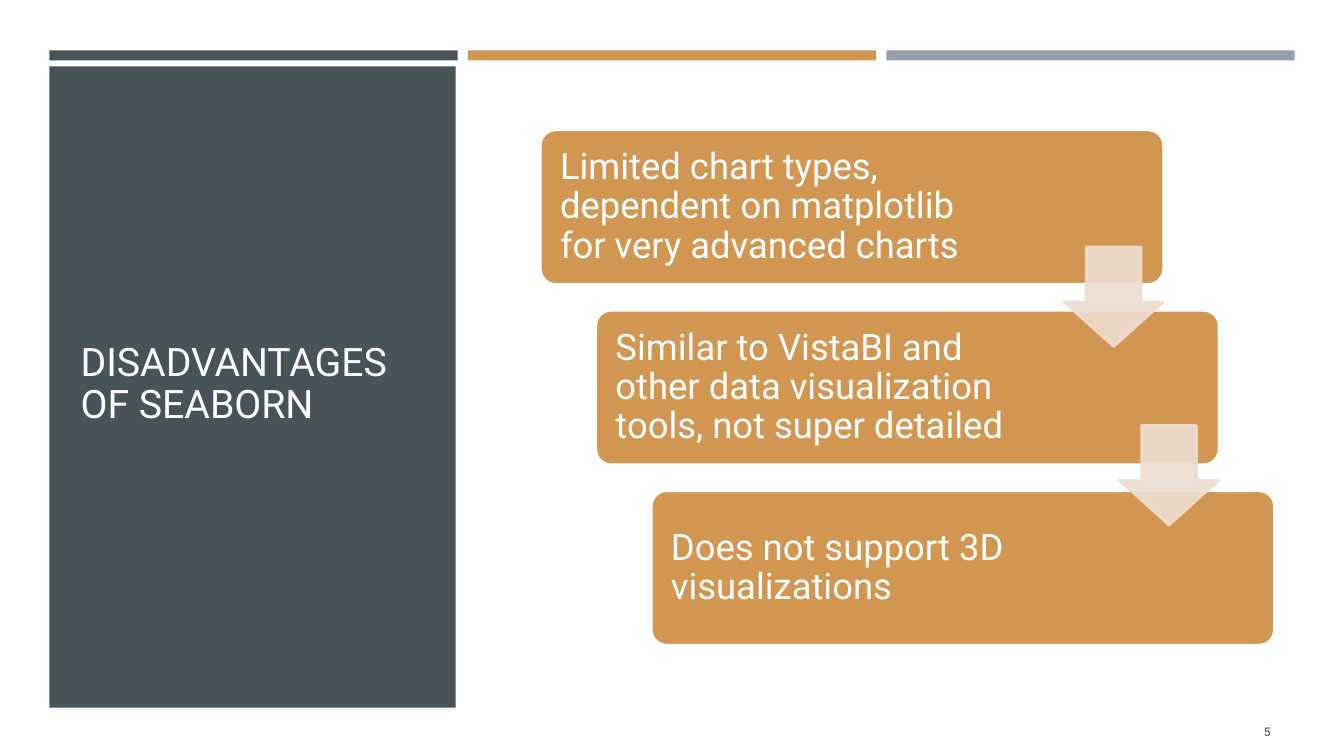
"""Build the slide on the disadvantages of Seaborn, with three cascading cards."""
from dataclasses import dataclass

from lxml.etree import SubElement
from pptx import Presentation
from pptx.dml.color import RGBColor
from pptx.enum.shapes import MSO_SHAPE
from pptx.enum.text import MSO_ANCHOR, MSO_AUTO_SIZE, PP_ALIGN
from pptx.oxml.ns import qn
from pptx.util import Pt

PX = 9144


@dataclass(frozen=True)
class Theme:
    font: str = "Roboto"
    slate: str = "465359"
    amber: str = "D19651"
    grey: str = "969FA7"
    blush: str = "EEDDD0"
    white: str = "FFFFFF"
    ink: str = "404040"
    title_size: float = 28
    card_size: float = 26
    number_size: float = 8.5
    outline: float = 1.75


THEME = Theme()


def write(shape, text, *, size, color, align=PP_ALIGN.LEFT, anchor=MSO_ANCHOR.MIDDLE,
          spacing=0.9, margins=(10, 5, 10, 5)):
    frame = shape.text_frame
    frame.text = text
    frame.word_wrap = True
    frame.auto_size = MSO_AUTO_SIZE.NONE
    frame.vertical_anchor = anchor
    left, top, right, bottom = (margin * PX for margin in margins)
    frame.margin_left, frame.margin_top = left, top
    frame.margin_right, frame.margin_bottom = right, bottom
    paragraph = frame.paragraphs[0]
    paragraph.alignment = align
    paragraph.line_spacing = spacing
    font = paragraph.runs[0].font
    font.name = THEME.font
    font.size = Pt(size)
    font.color.rgb = RGBColor.from_string(color)


def draw(kind, left, top, width, height, fill, line=None, adjustments=()):
    shape = slide.shapes.add_shape(kind, left * PX, top * PX, width * PX, height * PX)
    shape.shadow.inherit = False
    shape.fill.solid()
    shape.fill.fore_color.rgb = RGBColor.from_string(fill)
    if line:
        shape.line.color.rgb = RGBColor.from_string(line)
        shape.line.width = Pt(THEME.outline)
    else:
        shape.line.fill.background()
    for index, value in enumerate(adjustments):
        shape.adjustments[index] = value
    return shape


deck = Presentation()
deck.slide_width = 1333 * PX
deck.slide_height = 750 * PX
slide = deck.slides.add_slide(deck.slide_layouts[5])

for column, color in enumerate((THEME.slate, THEME.amber, THEME.grey)):
    draw(MSO_SHAPE.RECTANGLE, 49 + 415 * column, 50, 405, 10, color)
panel = draw(MSO_SHAPE.RECTANGLE, 49, 66, 403, 636, THEME.slate)

heading = slide.shapes.title
heading.left, heading.top = 70 * PX, 102 * PX
heading.width, heading.height = 361 * PX, 327 * PX
panel.element.getparent().append(heading.element)
write(heading, "DISADVANTAGES OF SEABORN", size=THEME.title_size,
      color=THEME.white, anchor=MSO_ANCHOR.BOTTOM)

drawbacks = (
    "Limited chart types, dependent on matplotlib for very advanced charts",
    "Similar to VistaBI and other data visualization tools, not super detailed",
    "Does not support 3D visualizations",
)
for step, drawback in enumerate(drawbacks):
    card = draw(MSO_SHAPE.ROUNDED_RECTANGLE, 536 + 55 * step, 129 + 179 * step, 618, 153,
                THEME.amber, line=THEME.white, adjustments=(0.1,))
    write(card, drawback, size=THEME.card_size, color=THEME.white,
          margins=(15, 11, 171, 11))

for step in range(len(drawbacks) - 1):
    arrow = draw(MSO_SHAPE.DOWN_ARROW, 1055 + 55 * step, 245 + 177 * step, 99, 99,
                 THEME.blush, line=THEME.blush, adjustments=(0.55, 0.45))
    for tint in arrow.element.spPr.iter(qn("a:srgbClr")):
        SubElement(tint, qn("a:alpha"), val="90000")

page_number = slide.shapes.add_textbox(1155 * PX, 706 * PX, 115 * PX, 40 * PX)
write(page_number, "5", size=THEME.number_size, color=THEME.ink,
      align=PP_ALIGN.RIGHT, spacing=1.0)

deck.save("out.pptx")
